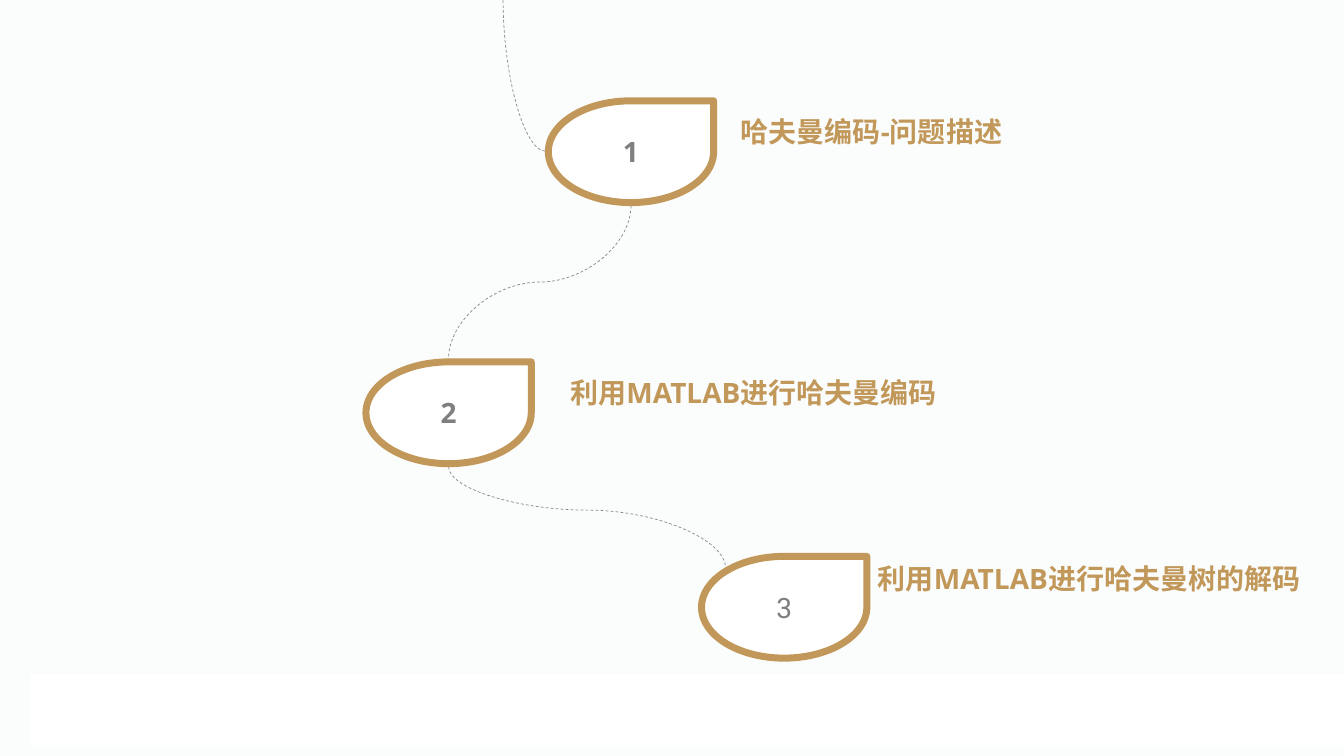
"""Build the Huffman coding agenda slide."""
from lxml import etree
from pptx import Presentation
from pptx import util as u
from pptx.dml.color import RGBColor
from pptx.enum import dml, shapes, text
from pptx.oxml.ns import qn

COLORS = {"back": "FBFCFC", "white": "FFFFFF", "gold": "C19859",
          "number": "7F7F7F", "thread": "7F8C8D"}
DROP_W, DROP_H = 118.1, 72.7
STEPS = [
    ("1", "哈夫曼编码-问题描述", (391.7, 72), (522, 78.5, 321.8), "Open Sans", True),
    ("2", "利用MATLAB进行哈夫曼编码", (261.4, 258.5), (400.3, 265, 355.7), "Open Sans", True),
    ("3", "利用MATLAB进行哈夫曼树的解码", (501.1, 397.4), (619.9, 397.4, 391.7), "Roboto", None),
]
CURVES = [
    ((359.3, 0), (389.5, 108), "curvedConnector2", None),
    ((450.7, 146.9), (320.4, 256.3), "curvedConnector3", 49900),
    ((320.4, 333.4), (518.4, 406.1), "curvedConnector3", 42600),
]


class Agenda:
    """Hold the colours, the text size and the current slide."""

    def __init__(self, prs, colors, size=20):
        self.colors = {k: RGBColor.from_string(v) for k, v in colors.items()}
        self.size = u.Pt(size)
        self.slide = prs.slides.add_slide(prs.slide_layouts[6])
        fill = self.slide.background.fill
        fill.solid()
        fill.fore_color.rgb = self.colors["back"]

    def add_words(self, sp, words, color, font, bold):
        p = sp.text_frame.paragraphs[0]
        r = p.add_run()
        r.text = words
        r.font.name, r.font.size, r.font.bold = font, self.size, bold
        r.font.color.rgb = self.colors[color]
        return p

    def shape(self, kind, x, y, w, h, line=None):
        sp = self.slide.shapes.add_shape(kind, u.Pt(x), u.Pt(y), u.Pt(w), u.Pt(h))
        sp.shadow.inherit = False
        sp.fill.solid()
        sp.fill.fore_color.rgb = self.colors["white"]
        if line:
            sp.line.color.rgb = self.colors[line]
            sp.line.width = u.Pt(5)
        else:
            sp.line.fill.background()
        return sp

    def drop(self, number, x, y, font, bold):
        sp = self.shape(shapes.MSO_SHAPE.TEAR, x, y, DROP_W, DROP_H, "gold")
        sp.text_frame.vertical_anchor = text.MSO_ANCHOR.MIDDLE
        p = self.add_words(sp, number, "number", font, bold)
        p.alignment = text.PP_ALIGN.CENTER

    def label(self, words, x, y, w):
        sp = self.slide.shapes.add_textbox(u.Pt(x), u.Pt(y), u.Pt(w), u.Pt(31))
        tf = sp.text_frame
        tf.word_wrap = True
        tf.auto_size = text.MSO_AUTO_SIZE.SHAPE_TO_FIT_TEXT
        self.add_words(sp, words, "gold", "Open Sans", True)

    def curve(self, start, end, preset, bend):
        """Draw a curve that leaves downwards, as a turned connector."""
        (x1, y1), (x2, y2) = start, end
        cx, cy = (x1 + x2) / 2, (y1 + y2) / 2
        half_w, half_h = abs(y2 - y1) / 2, abs(x2 - x1) / 2
        side = 1 if x2 > x1 else -1
        sp = self.slide.shapes.add_connector(
            shapes.MSO_CONNECTOR.CURVE,
            u.Pt(cx + side * half_w), u.Pt(cy - half_h),
            u.Pt(cx - side * half_w), u.Pt(cy + half_h))
        sp.line.color.rgb = self.colors["thread"]
        sp.line.width = u.Pt(0.5)
        sp.line.dash_style = dml.MSO_LINE.DASH
        sp_pr = sp._element.spPr
        sp_pr.find(qn("a:xfrm")).set("rot", str((270 if side > 0 else 90) * 60000))
        geom = sp_pr.find(qn("a:prstGeom"))
        geom.set("prst", preset)
        if bend:
            etree.SubElement(geom.find(qn("a:avLst")), qn("a:gd"),
                             name="adj1", fmla=f"val {bend}")
        etree.SubElement(sp_pr, qn("a:effectLst"))


def main():
    prs = Presentation()
    prs.slide_width, prs.slide_height = u.Pt(960), u.Pt(540)
    agenda = Agenda(prs, COLORS)
    for curve in CURVES:
        agenda.curve(*curve)
    for number, words, drop_at, label_at, font, bold in STEPS:
        agenda.drop(number, *drop_at, font, bold)
        agenda.label(words, *label_at)
    agenda.shape(shapes.MSO_SHAPE.RECTANGLE, 22.3, 481, 1488.2, 52.6)
    prs.save("out.pptx")


if __name__ == "__main__":
    main()
